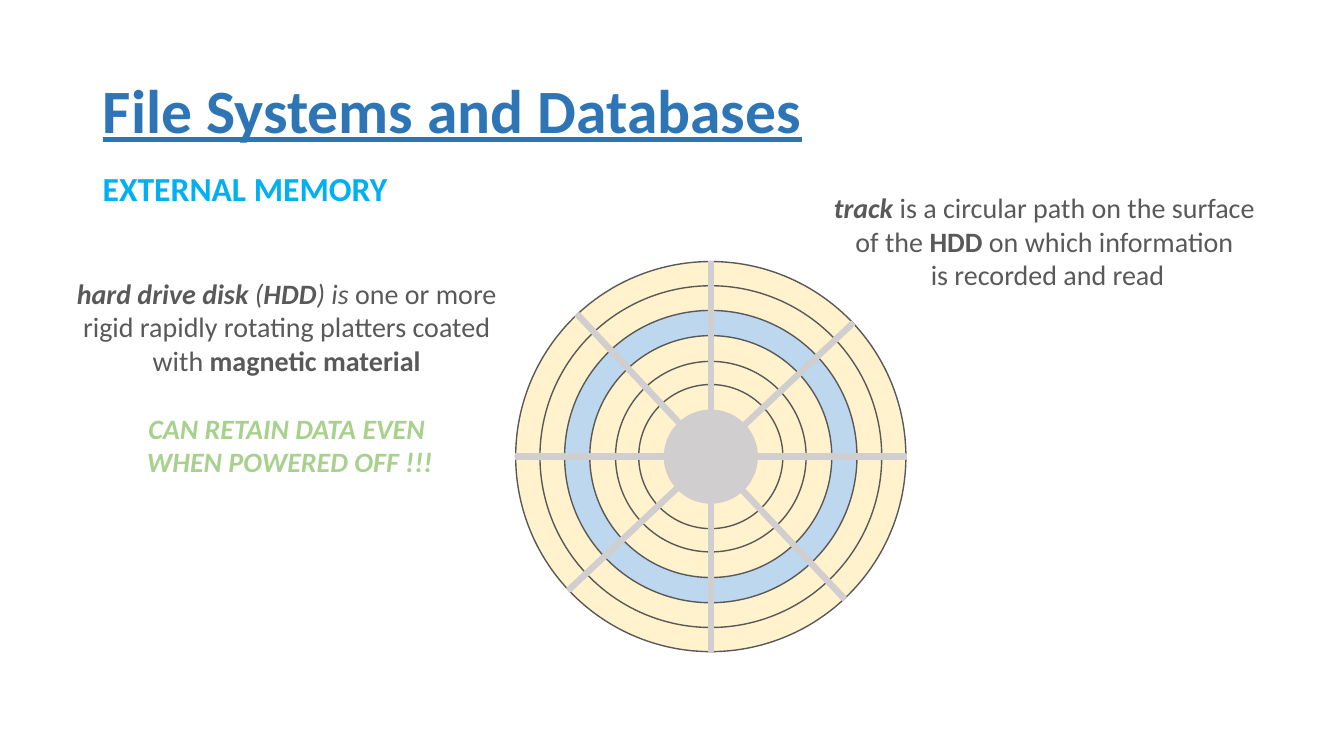
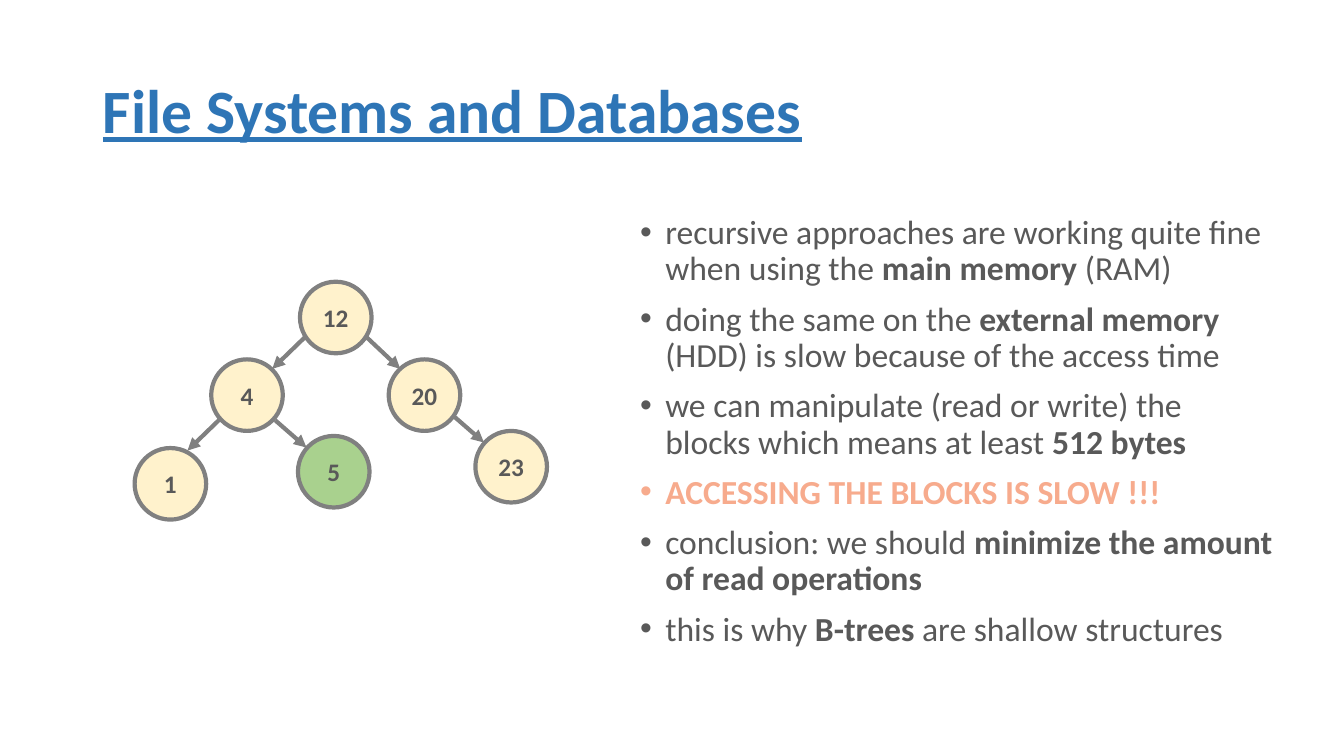
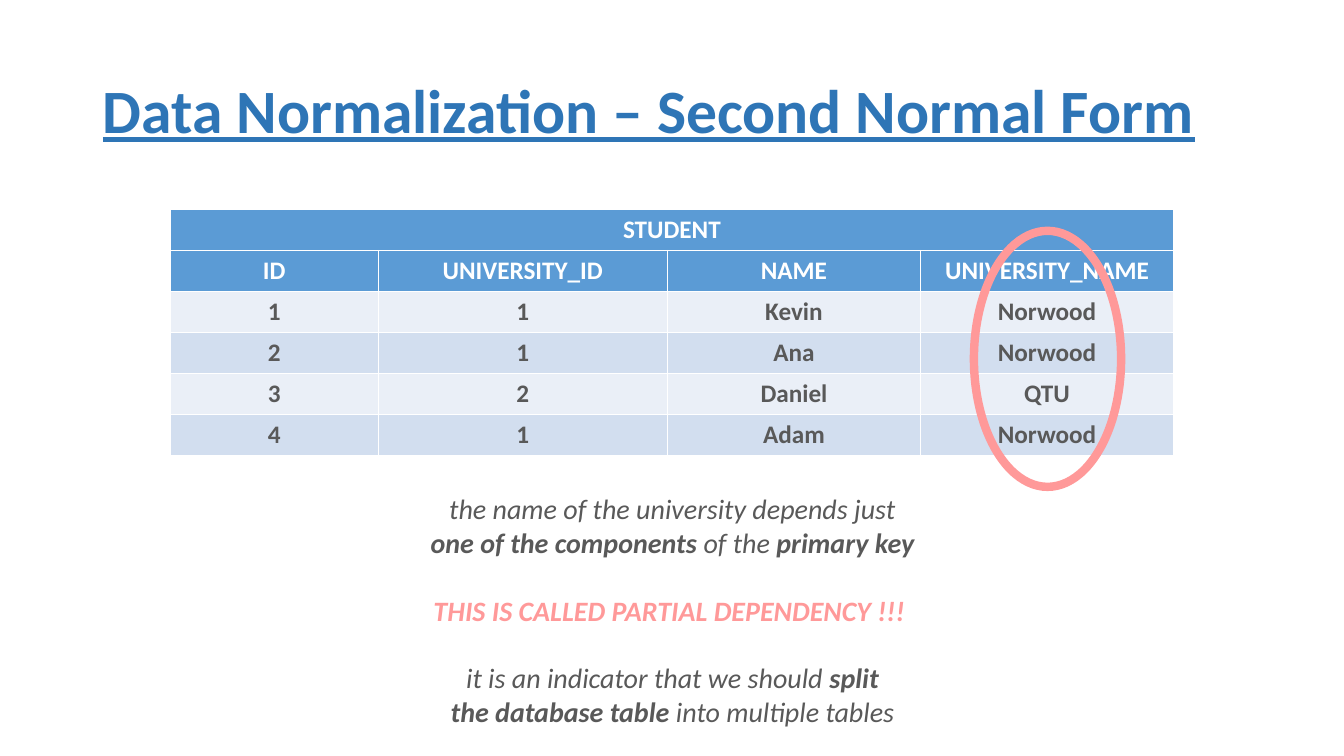
from lxml.etree import SubElement
from pptx import Presentation
from pptx.dml.color import RGBColor
from pptx.enum.shapes import MSO_CONNECTOR, MSO_SHAPE
from pptx.enum.text import MSO_ANCHOR, MSO_AUTO_SIZE, PP_ALIGN
from pptx.oxml.ns import qn
from pptx.util import Inches, Pt

TITLE_BLUE, SKY, TEXT_GREY = "2E75B6", "00B0F0", "595959"
CREAM, PALE_BLUE, GREEN, SILVER = "FFF2CC", "BDD7EE", "A9D18E", "D0CECE"
NODE_GREY, SALMON, PINK, WHITE = "808080", "F7AB8D", "FF9999", "FFFFFF"
HEADER_BLUE, LIGHT_ROW, DARK_ROW = "5B9BD5", "EAEFF7", "D2DEEF"

PLAIN = {}
BOLD = {"bold": True}
ITALIC = {"italic": True}
BOLD_ITALIC = {"bold": True, "italic": True}
CENTER = {"alignment": PP_ALIGN.CENTER}
LEFT = {"alignment": PP_ALIGN.LEFT}
BLANK_LINE = 24.4  # height of one 20-point line


def write(frame, lines, layout, size, color=TEXT_GREY):
    """Fill a text frame from (space before, [(text, format), ...]) lines."""
    for number, (gap, spans) in enumerate(lines):
        para = frame.paragraphs[0] if number == 0 else frame.add_paragraph()
        for name, value in {"space_before": Pt(gap), **layout}.items():
            setattr(para, name, value)
        for text, style in spans:
            span = para.add_run()
            span.text = text
            values = {"name": "Calibri", "size": Pt(size), "bold": False, **style}
            span.font.color.rgb = RGBColor.from_string(values.pop("color", color))
            for name, value in values.items():
                setattr(span.font, name, value)


def draw(page, kind, center, size, fill, line, width):
    """Add a flat shape around a center point, unfilled if fill is None."""
    left, top = (middle - length / 2 for middle, length in zip(center, size))
    shape = page.shapes.add_shape(
        kind, Inches(left), Inches(top), Inches(size[0]), Inches(size[1]))
    shape.shadow.inherit = False
    if fill:
        shape.fill.solid()
        shape.fill.fore_color.rgb = RGBColor.from_string(fill)
    else:
        shape.fill.background()
    shape.line.color.rgb = RGBColor.from_string(line)
    shape.line.width = Pt(width)
    return shape


deck = Presentation()
deck.slide_width, deck.slide_height = Inches(13.33), Inches(7.5)

# Titles
titles = ["File Systems and Databases", "File Systems and Databases",
          "Data Normalization – Second Normal Form"]
title_place = {"left": 0.92, "top": 0.4, "width": 11.5, "height": 1.45}
pages = []
for text in titles:
    page = deck.slides.add_slide(deck.slide_layouts[5])
    title = page.shapes.title
    for name, value in title_place.items():
        setattr(title, name, Inches(value))
    frame = title.text_frame
    frame.vertical_anchor = MSO_ANCHOR.MIDDLE
    frame.auto_size = MSO_AUTO_SIZE.NONE
    write(frame, [(0, [(text, {"bold": True, "underline": True})])],
          {**LEFT, "line_spacing": 0.9}, 44, TITLE_BLUE)
    pages.append(page)
disk_page, tree_page, table_page = pages

# Hard drive: rings, spokes, hub
disk_center = (7.05, 4.53)
rings = [(3.87, CREAM), (3.39, CREAM), (2.9, PALE_BLUE),
         (2.4, CREAM), (1.89, CREAM), (1.43, CREAM)]
for diameter, fill in rings:
    draw(disk_page, MSO_SHAPE.OVAL, disk_center, (diameter, diameter),
         fill, TEXT_GREY, 1)
for angle in (0, 90, 46.8, 136.8):
    spoke = draw(disk_page, MSO_SHAPE.RECTANGLE, disk_center, (0.05, 3.87),
                 SILVER, SILVER, 1)
    spoke.rotation = angle
draw(disk_page, MSO_SHAPE.OVAL, disk_center, (0.92, 0.92), SILVER, SILVER, 1)

# Search tree: nodes, arrows
nodes = [("12", 3.33, 3.15, CREAM), ("4", 2.45, 3.92, CREAM),
         ("20", 4.21, 3.92, CREAM), ("1", 1.69, 4.8, CREAM),
         ("5", 3.31, 4.68, GREEN), ("23", 5.07, 4.63, CREAM)]
for value, x, y, fill in nodes:
    node = draw(tree_page, MSO_SHAPE.OVAL, (x, y), (0.71, 0.71),
                fill, NODE_GREY, 3)
    node.text_frame.vertical_anchor = MSO_ANCHOR.MIDDLE
    node.text_frame.word_wrap = False
    write(node.text_frame, [(0, [(value, BOLD)])], CENTER, 18)

arrows = [(3.03, 3.34, 2.7, 3.66), (3.63, 3.34, 3.97, 3.66),
          (2.19, 4.15, 1.86, 4.47), (2.73, 4.17, 3.04, 4.44),
          (4.49, 4.12, 4.8, 4.39)]
for ends in arrows:
    arrow = tree_page.shapes.add_connector(
        MSO_CONNECTOR.STRAIGHT, *(Inches(end) for end in ends))
    arrow.line.color.rgb = RGBColor.from_string(NODE_GREY)
    arrow.line.width = Pt(3)
    SubElement(arrow.line._get_or_add_ln(), qn("a:tailEnd"), type="triangle")
    SubElement(arrow._element.spPr, qn("a:effectLst"))

# Student table
rows = [("STUDENT", "", "", ""),
        ("ID", "UNIVERSITY_ID", "NAME", "UNIVERSITY_NAME"),
        ("1", "1", "Kevin", "Norwood"),
        ("2", "1", "Ana", "Norwood"),
        ("3", "2", "Daniel", "QTU"),
        ("4", "1", "Adam", "Norwood")]
column_widths = [2.06, 2.87, 2.51, 2.51]
table = table_page.shapes.add_table(
    len(rows), len(column_widths), Inches(1.69), Inches(2.08),
    Inches(sum(column_widths)), Inches(0.406 * len(rows))).table
for column, width in zip(table.columns, column_widths):
    column.width = Inches(width)
table.cell(0, 0).merge(table.cell(0, 3))
for r, values in enumerate(rows):
    is_header = r < 2
    fill = HEADER_BLUE if is_header else (LIGHT_ROW, DARK_ROW)[r % 2]
    for c, value in enumerate(values):
        cell = table.cell(r, c)
        cell.fill.solid()
        cell.fill.fore_color.rgb = RGBColor.from_string(fill)
        cell.vertical_anchor = MSO_ANCHOR.MIDDLE
        if value:
            write(cell.text_frame, [(0, [(value, BOLD)])], CENTER, 18,
                  WHITE if is_header else TEXT_GREY)

# Text boxes
heading = [(0, [("EXTERNAL MEMORY", BOLD)])]
drive_note = [
    (0, [("hard drive disk", BOLD_ITALIC), (" (", ITALIC), ("HDD", BOLD_ITALIC),
         (") is", ITALIC), (" one or more ", PLAIN)]),
    (0, [("rigid rapidly rotating platters coated ", PLAIN)]),
    (0, [("with ", PLAIN), ("magnetic material ", BOLD)]),
    (BLANK_LINE, [("CAN RETAIN DATA EVEN ", {**BOLD_ITALIC, "color": GREEN})]),
    (0, [("WHEN POWERED OFF !!!", {**BOLD_ITALIC, "color": GREEN})])]
track_note = [
    (0, [("track ", BOLD_ITALIC), ("is a circular path on the surface ", PLAIN)]),
    (0, [("of the ", PLAIN), ("HDD ", BOLD), ("on which information ", PLAIN)]),
    (0, [("is recorded and read", PLAIN)])]
memory_points = [
    (10, [("recursive approaches are working quite fine when using the", PLAIN),
          (" main memory ", BOLD), ("(RAM)", PLAIN)]),
    (10, [("doing the same on the ", PLAIN), ("external memory", BOLD),
          (" (HDD) is slow because of the access time", PLAIN)]),
    (10, [("we can manipulate (read or write) the blocks which means at least ",
           PLAIN), ("512 bytes", BOLD)]),
    (10, [("ACCESSING THE BLOCKS IS SLOW !!!", {**BOLD, "color": SALMON})]),
    (10, [("conclusion: we should ", PLAIN),
          ("minimize the amount of read operations", BOLD)]),
    (10, [("this is why ", PLAIN), ("B-trees", BOLD),
          (" are shallow structures", PLAIN)])]
dependency_note = [
    (0, [("the name of the university depends just", ITALIC)]),
    (0, [("one of the components ", BOLD_ITALIC), ("of the ", ITALIC),
         ("primary key", BOLD_ITALIC)]),
    (BLANK_LINE, [("THIS IS CALLED PARTIAL DEPENDENCY !!! ",
                   {**BOLD_ITALIC, "color": PINK})]),
    (BLANK_LINE, [("it is an indicator that we should ", ITALIC),
                  ("split", BOLD_ITALIC)]),
    (0, [("the database table ", BOLD_ITALIC), ("into multiple tables", ITALIC)])]

bullet_layout = {**LEFT, "line_spacing": 0.9}
notes = [
    (disk_page, (0.92, 1.62, 11.85, 0.5), True, heading, LEFT, 24, SKY),
    (disk_page, (0.65, 2.69, 4.45, 2.12), False, drive_note, CENTER, 20, TEXT_GREY),
    (disk_page, (8.15, 1.84, 4.48, 1.11), False, track_note, CENTER, 20, TEXT_GREY),
    (tree_page, (6.25, 2.09, 6.48, 4.76), True, memory_points, bullet_layout, 24,
     TEXT_GREY),
    (table_page, (2.95, 4.83, 7.44, 2.5), True, dependency_note, CENTER, 20,
     TEXT_GREY)]
for page, place, wraps, lines, layout, size, color in notes:
    box = page.shapes.add_textbox(*(Inches(length) for length in place))
    box.text_frame.word_wrap = wraps
    write(box.text_frame, lines, layout, size, color)
    if lines is memory_points:
        for para in box.text_frame.paragraphs:
            properties = para._p.get_or_add_pPr()
            properties.set("marL", str(Inches(0.25)))
            properties.set("indent", str(Inches(-0.25)))
            SubElement(properties, qn("a:buFont"), typeface="Arial")
            SubElement(properties, qn("a:buChar"), char="•")

# Highlight around the university names
draw(table_page, MSO_SHAPE.OVAL, (10.39, 3.56), (1.46, 2.54), None, PINK, 6)

deck.save("out.pptx")
